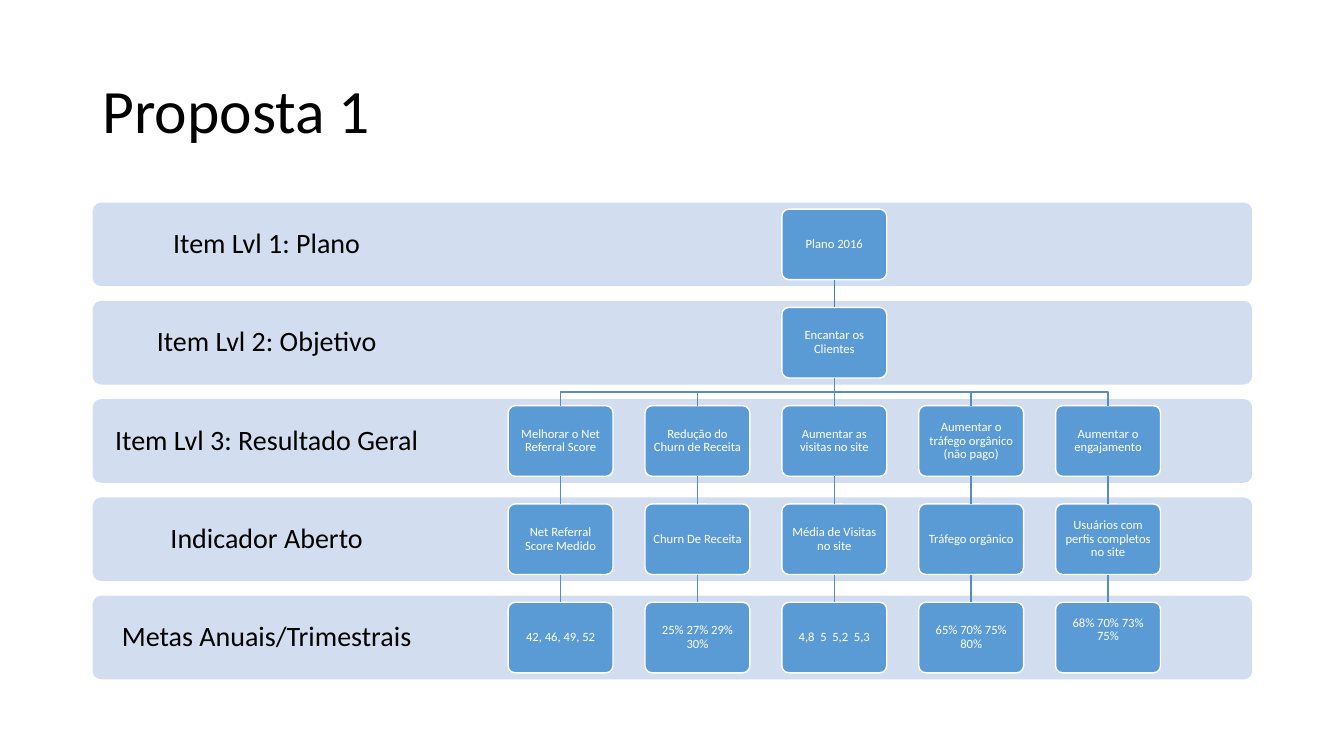
from dataclasses import dataclass
from lxml.etree import SubElement
from pptx import Presentation
from pptx.dml.color import RGBColor
from pptx.enum.shapes import MSO_CONNECTOR, MSO_SHAPE
from pptx.enum.text import MSO_ANCHOR, PP_ALIGN
from pptx.oxml.ns import qn
from pptx.util import Inches, Pt


@dataclass(frozen=True)
class Theme:
    """Colours, font and type sizes of the slide."""
    font: str = "Calibri"
    ink: str = "000000"
    paper: str = "FFFFFF"
    band: str = "D2DEEF"
    box: str = "5B9BD5"
    stem: str = "497CAB"
    branch: str = "538DC1"
    title: int = 44
    label: int = 20
    node: int = 9
    line: int = 1


@dataclass(frozen=True)
class Grid:
    """Rows of bands and columns of boxes, in inches."""
    left: float = 0.92
    top: float = 2.01
    width: float = 11.5
    high: float = 0.83
    label: float = 3.45
    first: float = 5.04
    wide: float = 1.04
    tall: float = 0.7
    down: float = (5.91 - 2.01) / 4
    step: float = (10.47 - 5.04) / 4

    def band(self, row):
        """Return the frame of a band."""
        return self.left, self.top + row * self.down, self.width, self.high

    def tag(self, row):
        """Return the frame of a band's label."""
        return self.left, self.top + row * self.down, self.label, self.high

    def cell(self, row, col):
        """Return the frame of a box."""
        inset = (self.high - self.tall) / 2
        return (self.first + col * self.step,
                self.top + row * self.down + inset, self.wide, self.tall)


THEME = Theme()
GRID = Grid()
MID = 2
LABELS = ["Item Lvl 1: Plano", "Item Lvl 2: Objetivo",
          "Item Lvl 3: Resultado Geral", "Indicador Aberto",
          "Metas Anuais/Trimestrais"]
TRUNK = ["Plano 2016", "Encantar os Clientes"]
CHAINS = [
    ["Melhorar o Net Referral Score", "Net Referral Score Medido",
     "42, 46, 49, 52"],
    ["Redução do Churn de Receita", "Churn De Receita", "25% 27% 29% 30%"],
    ["Aumentar as visitas no site", "Média de Visitas no site",
     "4,8  5  5,2  5,3"],
    ["Aumentar o tráfego orgânico (não pago)", "Tráfego orgânico",
     "65% 70% 75% 80%"],
    ["Aumentar o engajamento", "Usuários com perfis completos no site",
     "68% 70% 73% 75%\n"],
]


def tint(code):
    """Turn a hex code into a colour."""
    return RGBColor.from_string(code)


def write(shape, text, size, color, inset, align=PP_ALIGN.CENTER):
    """Set the text of a shape, centred from top to bottom."""
    frame = shape.text_frame
    frame.word_wrap = True
    frame.vertical_anchor = MSO_ANCHOR.MIDDLE
    frame.margin_left = frame.margin_right = Inches(inset)
    frame.margin_top = frame.margin_bottom = Inches(inset)
    para = frame.paragraphs[0]
    para.alignment = align
    para.line_spacing = 0.9
    para.font.size = Pt(size)
    for num, part in enumerate(text.split("\n")):
        if num:
            para.add_line_break()
        if part:
            run = para.add_run()
            run.text = part
            run.font.name = THEME.font
            run.font.size = Pt(size)
            run.font.color.rgb = tint(color)


def add_text(slide, frame, *style):
    """Add a text box."""
    write(slide.shapes.add_textbox(*map(Inches, frame)), *style)


def add_round(slide, frame, fill):
    """Add a rounded block without outline."""
    shape = slide.shapes.add_shape(MSO_SHAPE.ROUNDED_RECTANGLE,
                                   *map(Inches, frame))
    shape.adjustments[0] = 0.1
    shape.shadow.inherit = False
    shape.fill.solid()
    shape.fill.fore_color.rgb = tint(fill)
    shape.line.fill.background()
    return shape


def add_node(slide, row, col, text):
    """Add one box of the tree."""
    node = add_round(slide, GRID.cell(row, col), THEME.box)
    node.line.color.rgb = tint(THEME.paper)
    node.line.width = Pt(THEME.line)
    write(node, text, THEME.node, THEME.paper, 0.06)
    return node


def ink_line(shape, color):
    """Set the colour and width of a line."""
    shape.line.color.rgb = tint(color)
    shape.line.width = Pt(THEME.line)


def join(slide, upper, lower, color):
    """Link two boxes of one column."""
    line = slide.shapes.add_connector(MSO_CONNECTOR.STRAIGHT, 0, 0, 0, 0)
    line.begin_connect(upper, 2)
    line.end_connect(lower, 0)
    ink_line(line, color)
    SubElement(line.element.spPr, qn("a:effectLst"))


def fork(slide, upper, lower):
    """Link two boxes of different columns by a bent line."""
    start = upper.left + upper.width // 2
    end = lower.left + lower.width // 2
    head = upper.top + upper.height
    turn = (head + lower.top) // 2
    pen = slide.shapes.build_freeform(start, head)
    pen.add_line_segments([(start, turn), (end, turn), (end, lower.top)],
                          close=False)
    line = pen.convert_to_shape()
    line.shadow.inherit = False
    line.fill.background()
    ink_line(line, THEME.branch)


def add_chain(slide, col, texts, goal):
    """Add a column of boxes below the goal."""
    nodes = [add_node(slide, row, col, text)
             for row, text in enumerate(texts, len(TRUNK))]
    if col == MID:
        join(slide, goal, nodes[0], THEME.branch)
    else:
        fork(slide, goal, nodes[0])
    for upper, lower in zip(nodes, nodes[1:]):
        join(slide, upper, lower, THEME.branch)


def main():
    """Build and save the slide."""
    deck = Presentation()
    deck.slide_width, deck.slide_height = Inches(13.33), Inches(7.5)
    slide = deck.slides.add_slide(deck.slide_layouts[6])
    add_text(slide, (GRID.left, 0.4, GRID.width, 1.45), "Proposta 1",
             THEME.title, THEME.ink, 0.1, PP_ALIGN.LEFT)
    for row, label in enumerate(LABELS):
        add_round(slide, GRID.band(row), THEME.band)
        add_text(slide, GRID.tag(row), label, THEME.label, THEME.ink, 0.16)
    plan, goal = [add_node(slide, row, MID, text)
                  for row, text in enumerate(TRUNK)]
    join(slide, plan, goal, THEME.stem)
    for col, texts in enumerate(CHAINS):
        add_chain(slide, col, texts, goal)
    deck.save("out.pptx")


main()
